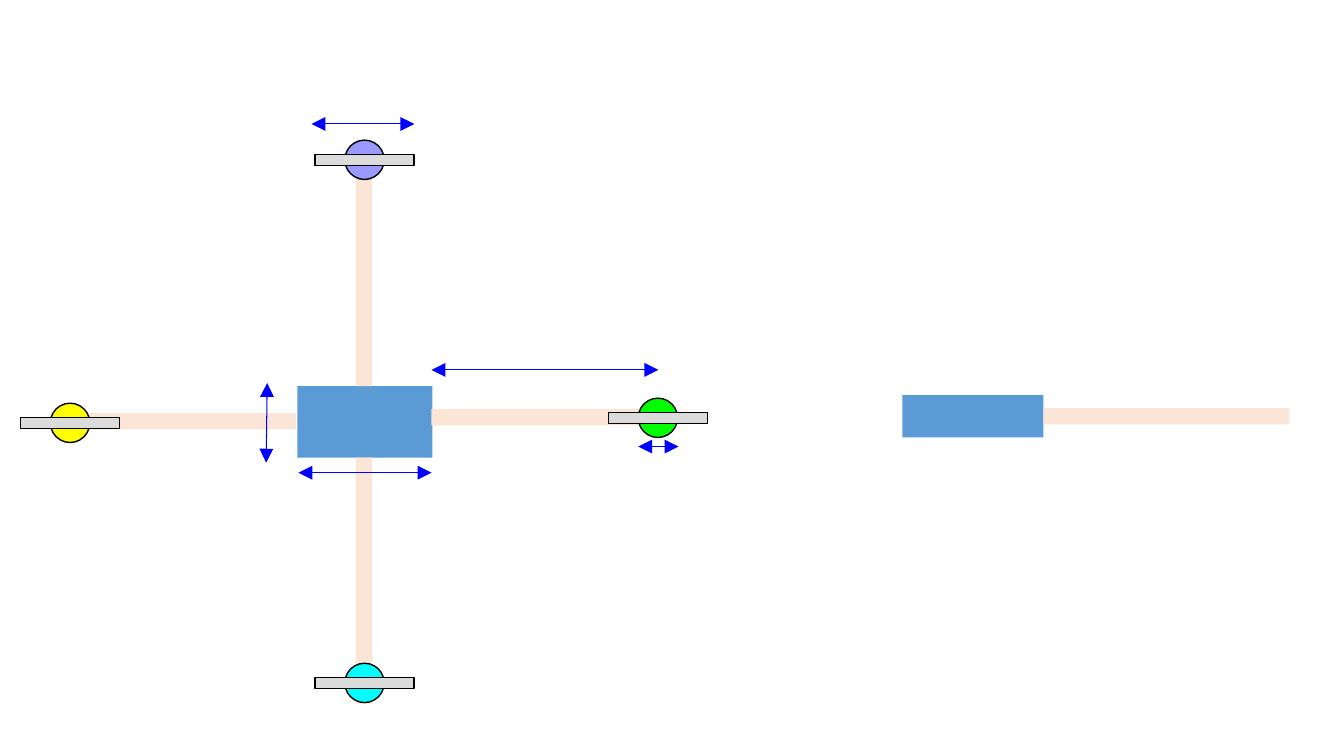
from dataclasses import dataclass

from lxml import etree
from pptx import Presentation
from pptx.dml.color import RGBColor
from pptx.enum.shapes import MSO_CONNECTOR, MSO_SHAPE
from pptx.oxml.ns import qn
from pptx.util import Emu, Pt

RECTANGLE = MSO_SHAPE.RECTANGLE
ELLIPSE = MSO_SHAPE.OVAL
STRAIGHT = MSO_CONNECTOR.STRAIGHT
BLANK_LAYOUT = 6
EMU_PER_PX = 9144  # 100 px to the inch


@dataclass(frozen=True)
class Theme:
    body: str = "5B9BD5"
    arm: str = "FBE5D6"
    blade: str = "DBDBDB"
    outline: str = "000000"
    dimension: str = "0000FF"
    outline_width: float = 1
    dimension_width: float = 0.75


def px(length):
    return Emu(round(length * EMU_PER_PX))


class Drawing:
    ARM_LENGTH, ARM_WIDTH = 244, 16
    MOTOR_SIZE = 39
    BLADE_LENGTH, BLADE_WIDTH = 98, 11

    def __init__(self, slide, theme):
        self.theme = theme
        self.shapes = slide.shapes

    def block(self, kind, left, top, width, height, fill, outlined=False):
        shape = self.shapes.add_shape(kind, px(left), px(top), px(width), px(height))
        shape.shadow.inherit = False
        shape.fill.solid()
        shape.fill.fore_color.rgb = RGBColor.from_string(fill)
        if outlined:
            shape.line.color.rgb = RGBColor.from_string(self.theme.outline)
            shape.line.width = Pt(self.theme.outline_width)
        else:
            shape.line.fill.background()
        return shape

    def body(self, left, top, width, height):
        self.block(RECTANGLE, left, top, width, height, self.theme.body)

    def arm(self, left, top, rotation=0):
        shape = self.block(RECTANGLE, left, top, self.ARM_LENGTH, self.ARM_WIDTH,
                           self.theme.arm)
        shape.rotation = rotation

    def motor(self, left, top, fill):
        self.block(ELLIPSE, left, top, self.MOTOR_SIZE, self.MOTOR_SIZE, fill, outlined=True)

    def blade(self, motor_left, motor_top):
        left = motor_left + (self.MOTOR_SIZE - self.BLADE_LENGTH) / 2
        top = motor_top + (self.MOTOR_SIZE - self.BLADE_WIDTH) / 2
        self.block(RECTANGLE, left, top, self.BLADE_LENGTH, self.BLADE_WIDTH,
                   self.theme.blade, outlined=True)

    def dimension(self, x1, y1, x2, y2):
        connector = self.shapes.add_connector(STRAIGHT, px(x1), px(y1), px(x2), px(y2))
        connector.line.color.rgb = RGBColor.from_string(self.theme.dimension)
        connector.line.width = Pt(self.theme.dimension_width)
        line = connector.line._get_or_add_ln()
        for end in ("a:headEnd", "a:tailEnd"):
            etree.SubElement(line, qn(end), type="triangle", w="lg", len="lg")
        etree.SubElement(connector._element.spPr, qn("a:effectLst"))


# Arm left, top and rotation; motor left, top and colour
ROTORS = [
    ((428, 406, 0), (633, 395, "00FF00")),
    ((239, 253, 270), (342, 139, "9999FF")),
    ((50, 410, 0), (50, 400, "FFFF00")),
    ((239, 568, 270), (342, 658, "00FFFF")),
]

DIMENSIONS = [
    (633, 443, 673, 443),  # motor diameter
    (296, 469, 428, 469),  # body length
    (265, 380, 264, 459),  # body width
    (428, 367, 653, 367),  # arm length
    (309, 123, 411, 123),  # blade length
]


def main():
    presentation = Presentation()
    presentation.slide_width, presentation.slide_height = px(1333), px(750)
    slide = presentation.slides.add_slide(presentation.slide_layouts[BLANK_LAYOUT])
    drawing = Drawing(slide, Theme())

    # Top view, kept together as one group
    drawing.shapes = slide.shapes.add_group_shape().shapes
    drawing.body(295, 383, 134, 71)
    for arm, motor in ROTORS:
        drawing.arm(*arm)
        drawing.motor(*motor)
    for ends in DIMENSIONS:
        drawing.dimension(*ends)
    for _, (left, top, _) in ROTORS:
        drawing.blade(left, top)

    # Side view
    drawing.shapes = slide.shapes
    drawing.body(895, 392, 140, 42)
    drawing.arm(1035, 405)

    presentation.save("out.pptx")


if __name__ == "__main__":
    main()
